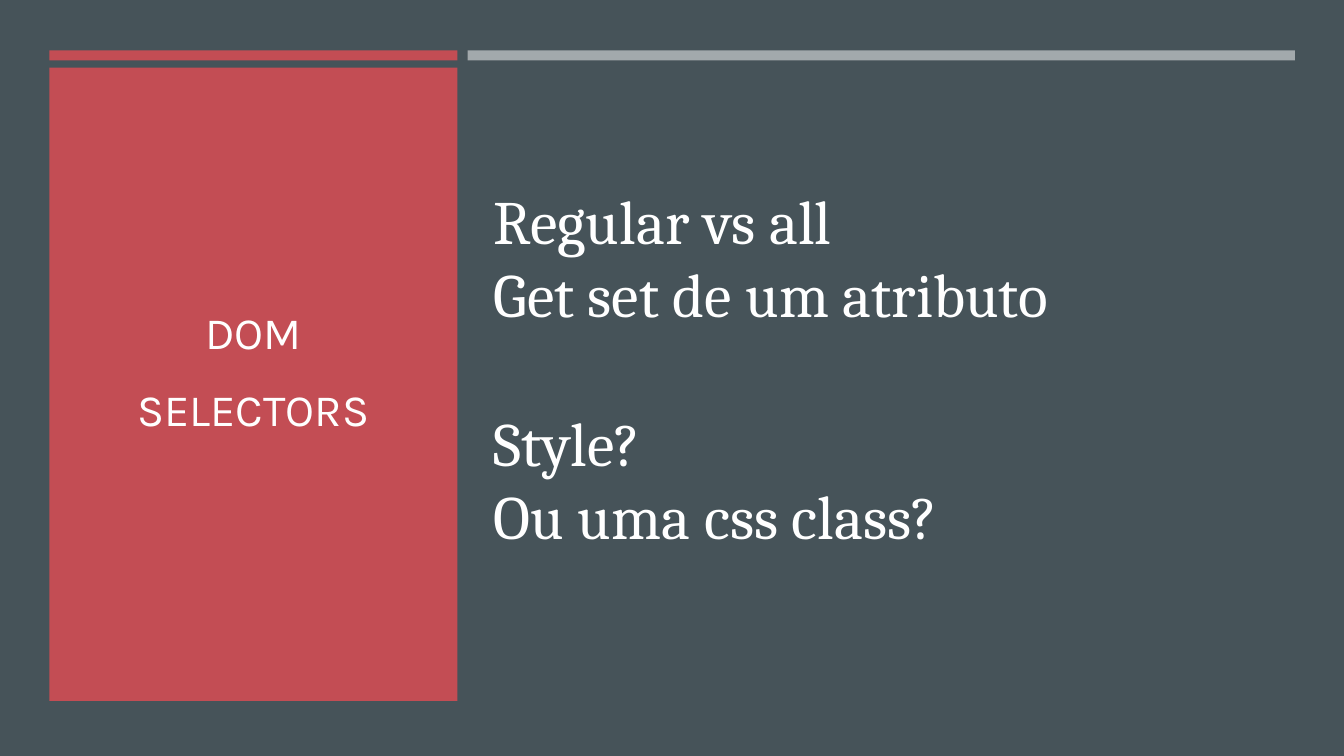
import pptx
import pptx.dml.color
import pptx.enum.shapes
import pptx.enum.text
import pptx.oxml
import pptx.oxml.ns
import pptx.util

Pt = pptx.util.Pt
WIDTH, HEIGHT = 960, 540
RED, SLATE, WHITE = "C34D54", "465359", "FFFFFF"
PANEL_LEFT, PANEL_WIDTH = 35.2, 291.6
BAR_TOP, BAR_HEIGHT = 36, 7.2
TEXT_TOP, TEXT_HEIGHT = 67.7, 389.5


def set_color(target, color):
    target.rgb = pptx.dml.color.RGBColor.from_string(color)


def add_rect(s, left, top, width, height, color, opacity=100):
    sp = s.shapes.add_shape(
        pptx.enum.shapes.MSO_SHAPE.RECTANGLE,
        Pt(left), Pt(top), Pt(width), Pt(height))
    sp.shadow.inherit = False
    sp.line.fill.background()
    sp.fill.solid()
    set_color(sp.fill.fore_color, color)
    if opacity < 100:
        fill = sp.element.spPr.find(pptx.oxml.ns.qn("a:solidFill"))
        alpha = pptx.oxml.parse_xml(
            f'<a:alpha {pptx.oxml.ns.nsdecls("a")} val="{opacity * 1000}"/>')
        fill[0].append(alpha)
    return sp


def set_text(sp, paragraphs, font, size, align, line_spacing, before, after):
    tf = sp.text_frame
    tf.word_wrap = True
    tf.auto_size = pptx.enum.text.MSO_AUTO_SIZE.NONE
    tf.vertical_anchor = pptx.enum.text.MSO_ANCHOR.MIDDLE
    tf.text = "\n".join(paragraphs)
    for i, p in enumerate(tf.paragraphs):
        p.alignment = align
        p.line_spacing = line_spacing
        p.space_before = Pt(before if i else 0)
        p.space_after = Pt(after)
        for r in p.runs:
            r.font.name = font
            r.font.size = Pt(size)
            set_color(r.font.color, WHITE)


def add_title(s, paragraphs):
    sp = s.shapes.title
    sp.left, sp.top = Pt(345.6), Pt(TEXT_TOP)
    sp.width, sp.height = Pt(567.4), Pt(TEXT_HEIGHT)
    set_text(sp, paragraphs, "Cambria", 44,
             pptx.enum.text.PP_ALIGN.LEFT, 1.0, 53, 0)


def add_topic(s, paragraphs):
    sp = s.shapes.add_textbox(Pt(60.5), Pt(TEXT_TOP), Pt(241.2), Pt(TEXT_HEIGHT))
    set_text(sp, paragraphs, "Karla", 32,
             pptx.enum.text.PP_ALIGN.CENTER, 1.1, 6.4, 6)


def main():
    prs = pptx.Presentation()
    prs.slide_width, prs.slide_height = Pt(WIDTH), Pt(HEIGHT)
    s = prs.slides.add_slide(prs.slide_layouts[5])
    s.background.fill.solid()
    set_color(s.background.fill.fore_color, "242C41")

    backdrop = add_rect(s, 0, 0, WIDTH, HEIGHT, SLATE)
    s.shapes.title.element.addprevious(backdrop.element)
    add_title(s, ["Regular vs all\vGet set de um atributo",
                  "Style?\vOu uma css class?"])
    add_rect(s, PANEL_LEFT, BAR_TOP, PANEL_WIDTH, BAR_HEIGHT, RED)
    add_rect(s, 334.1, BAR_TOP, 590.8, BAR_HEIGHT, WHITE, 50)
    add_rect(s, PANEL_LEFT, 48.4, PANEL_WIDTH, 452.2, RED)
    add_topic(s, ["DOM", "SELECTORS"])
    prs.save("out.pptx")


if __name__ == "__main__":
    main()
